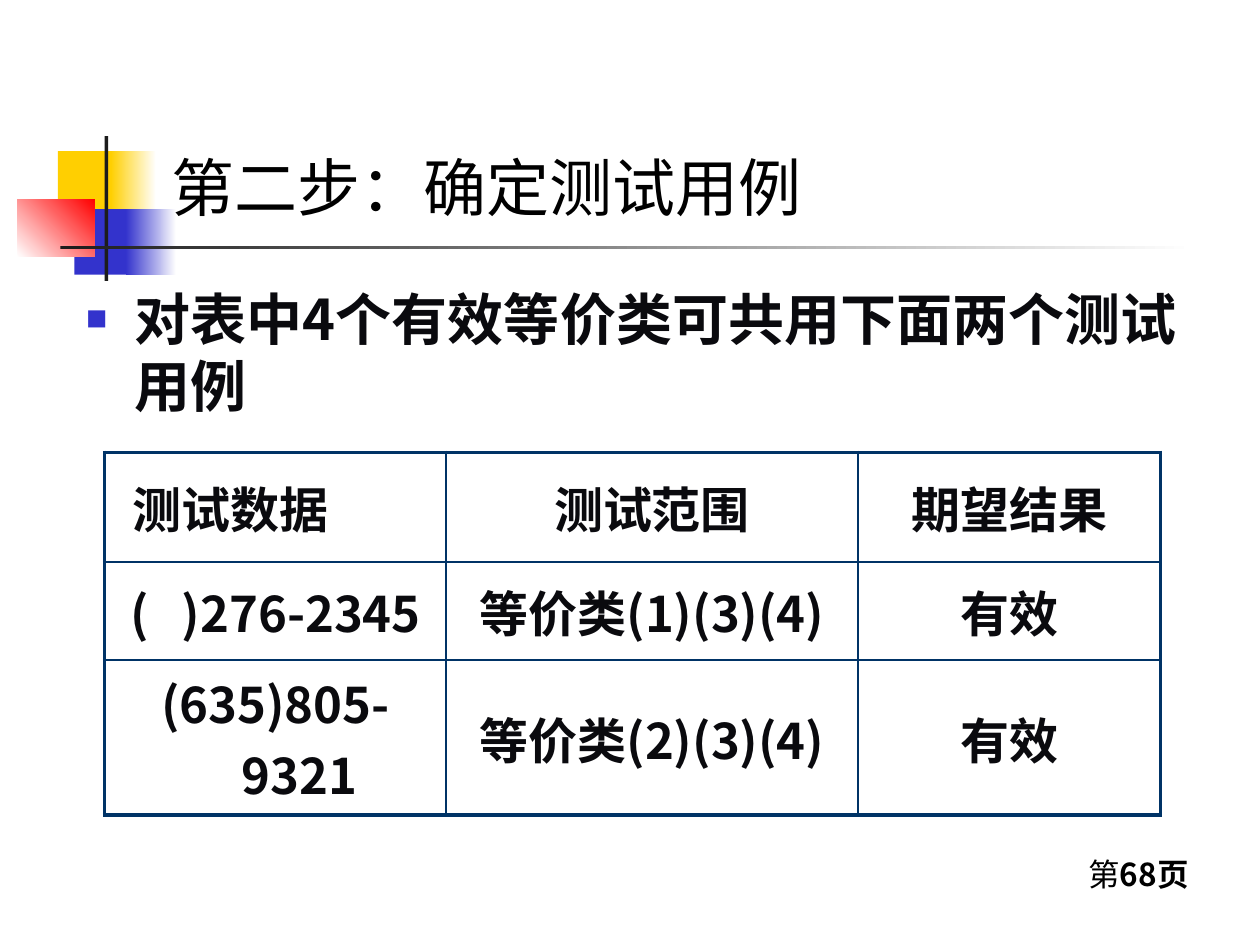
from lxml.etree import SubElement as Sub
from pptx import Presentation
from pptx.dml.color import RGBColor as Rgb
from pptx.enum.shapes import MSO_SHAPE as Shape
from pptx.enum.text import MSO_ANCHOR as Anchor, PP_ALIGN as Align
from pptx.oxml.ns import qn
from pptx.util import Inches, Pt

HUES = {
    "yellow": "FFCF01", "blue": "3333CC", "red": "FF0000", "dark": "1C1C1C",
    "white": "FFFFFF", "black": "000000", "ink": "0A0A0E", "navy": "003366",
}
FONT = "Noto Sans CJK SC"
ROWS = [
    ["测试数据", "测试范围", "期望结果"],
    ["(   )276-2345", "等价类(1)(3)(4)", "有效"],
    ["(635)805-9321", "等价类(2)(3)(4)", "有效"],
]


def rgb(name):
    return Rgb.from_string(HUES[name])


def write(par, text, size=18, hue="black", bold=False):
    """Add a run, with the font set for Latin and Chinese letters."""
    run = par.add_run()
    run.text = text
    font = run.font
    font.size, font.bold, font.name = Pt(size), bold, FONT
    font.color.rgb = rgb(hue)
    Sub(font._element, qn("a:ea"), typeface=FONT)


def hang(par, left=0.38, first=-0.38):
    props = par._p.get_or_add_pPr()
    props.set("marL", str(Inches(left)))
    props.set("indent", str(Inches(first)))
    return props


def bullet(par, mark, hue, size):
    props = hang(par)
    color = Sub(props, qn("a:buClr"))
    Sub(color, qn("a:srgbClr"), val=HUES[hue])
    Sub(props, qn("a:buSzPct"), val=str(size * 1000))
    Sub(props, qn("a:buFont"), typeface=FONT)
    Sub(props, qn("a:buChar"), char=mark)


def edge(cell, side, width):
    line = Sub(cell._tc.get_or_add_tcPr(), qn("a:ln" + side), w=str(Pt(width)))
    fill = Sub(line, qn("a:solidFill"))
    Sub(fill, qn("a:srgbClr"), val=HUES["navy"])


class Deck:
    """Holds the current slide and its style."""

    def __init__(self, slide):
        self.slide = slide

    def block(self, box, hue, fade=None, angle=0):
        """Draw a plain rectangle, or one that fades to a second colour."""
        item = self.slide.shapes.add_shape(Shape.RECTANGLE, *map(Inches, box))
        item.shadow.inherit = False
        item.line.fill.background()
        if fade is None:
            item.fill.solid()
            item.fill.fore_color.rgb = rgb(hue)
            return
        item.fill.gradient()
        item.fill.gradient_angle = angle
        for stop, name, at in zip(item.fill.gradient_stops, (hue, fade), (0, 1)):
            stop.color.rgb = rgb(name)
            stop.position = at

    def text(self, box, anchor=Anchor.TOP):
        """Add a text box and return its first paragraph."""
        frame = self.slide.shapes.add_textbox(*map(Inches, box)).text_frame
        frame.word_wrap = True
        frame.vertical_anchor = anchor
        return frame.paragraphs[0]

    def table(self, spot, rows, wide, high):
        last, end = len(rows) - 1, len(wide) - 1
        box = (*spot, sum(wide), sum(high))
        grid = self.slide.shapes.add_table(
            len(rows), len(wide), *map(Inches, box)).table
        for col, size in zip(grid.columns, wide):
            col.width = Inches(size)
        for row, size in zip(grid.rows, high):
            row.height = Inches(size)
        for r, row in enumerate(rows):
            for c, text in enumerate(row):
                cell = grid.cell(r, c)
                cell.vertical_anchor = Anchor.MIDDLE
                cell.margin_left = cell.margin_right = Inches(0.02)
                outer = {"L": c == 0, "R": c == end, "T": r == 0, "B": r == last}
                for side, rim in outer.items():
                    edge(cell, side, 2.25 if rim else 1.5)
                cell.fill.background()
                par = cell.text_frame.paragraphs[0]
                if r == c == 0:
                    par.alignment = Align.LEFT
                    hang(par, 0.2, 0)
                else:
                    par.alignment = Align.CENTER
                    hang(par)
                write(par, text, size=28, hue="ink", bold=True)


def main():
    show = Presentation()
    show.slide_width, show.slide_height = Inches(10), Inches(7.5)
    deck = Deck(show.slides.add_slide(show.slide_layouts[6]))

    deck.block((0.46, 1.2, 0.48, 0.52), "yellow")
    deck.block((0.88, 1.2, 0.36, 0.52), "yellow", "white")
    deck.block((0.59, 1.66, 0.46, 0.52), "blue")
    deck.block((1, 1.66, 0.4, 0.52), "blue", "white")
    deck.block((0.14, 1.58, 0.61, 0.46), "white", "red", angle=45)
    deck.block((0.83, 1.08, 0.03, 1.15), "dark")
    deck.block((0.48, 1.95, 9, 0.03), "dark", "white")

    page = deck.text((8.54, 6.74, 1.08, 0.4))
    write(page, "第")
    write(page, "68页", bold=True)

    title = deck.text((1.26, 0.23, 8.52, 1.6), Anchor.BOTTOM)
    write(title, "第二步：确定测试用例", size=36)

    body = deck.text((0.59, 2.21, 9.12, 4.5))
    bullet(body, "■", "blue", 38)
    write(body, "对表中4个有效等价类可共用下面两个测试用例",
          size=32, hue="ink", bold=True)

    deck.table((0.83, 3.59), ROWS, (2.71, 3.27, 2.4), (0.87, 0.78, 1.23))
    show.save("out.pptx")


if __name__ == "__main__":
    main()
